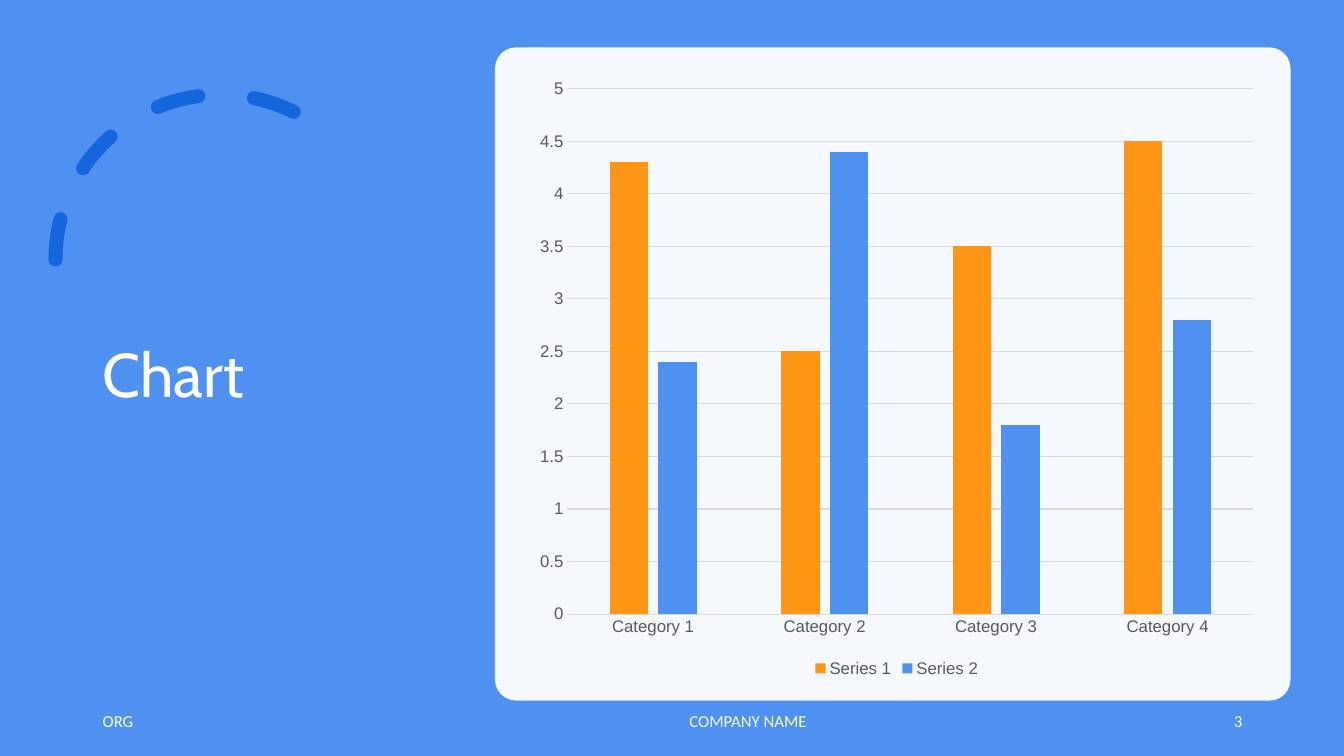
import pptx
import pptx.chart.data
import pptx.dml.color
import pptx.enum.chart
import pptx.enum.dml
import pptx.enum.shapes
import pptx.enum.text
import pptx.oxml
import pptx.oxml.ns
import pptx.util

HUES = {"blue": "4E91F0", "deep": "1366DC", "gold": "FF9514",
        "white": "FFFFFF", "gray": "595959", "grid": "D9D9D9"}
ALIGN = pptx.enum.text.PP_ALIGN
SHAPE = pptx.enum.shapes.MSO_SHAPE
CHART = pptx.enum.chart


def hue(name):
    return pptx.dml.color.RGBColor.from_string(HUES[name])


def part(box, x, y, w, h):
    """Return a box placed inside another by percent of its size."""
    left, top, wide, high = box
    return (round(left + wide * x / 100), round(top + high * y / 100),
            round(wide * w / 100), round(high * h / 100))


def style(font, size, name, color):
    font.size = pptx.util.Pt(size)
    font.name = name
    font.color.rgb = hue(color)


def label(slide, box, text, size, face, align=ALIGN.LEFT, lead=1.0):
    frame = slide.shapes.add_textbox(*box).text_frame
    frame.word_wrap = True
    frame.vertical_anchor = pptx.enum.text.MSO_ANCHOR.MIDDLE
    line = frame.paragraphs[0]
    line.text = text
    line.alignment = align
    line.line_spacing = lead
    style(line.font, size, face, "white")


def add_arc(slide, box):
    arc = slide.shapes.add_shape(SHAPE.ARC, *box)
    arc.shadow.inherit = False
    arc.adjustments[0] = 146.13
    arc.adjustments[1] = 0
    arc.fill.background()
    arc.line.color.rgb = hue("deep")
    arc.line.width = pptx.util.Pt(10)
    arc.line.dash_style = pptx.enum.dml.MSO_LINE.DASH
    # Mirror the arc and round its dashes
    props = arc._element.spPr
    props.find(pptx.oxml.ns.qn("a:xfrm")).set("flipH", "1")
    props.find(pptx.oxml.ns.qn("a:ln")).set("cap", "rnd")


def add_card(slide, box):
    card = slide.shapes.add_shape(SHAPE.ROUNDED_RECTANGLE, *box)
    card.shadow.inherit = False
    card.adjustments[0] = 0.032
    card.line.fill.background()
    card.fill.solid()
    card.fill.fore_color.rgb = hue("white")
    # Slight transparency
    tint = card._element.spPr.find(".//" + pptx.oxml.ns.qn("a:srgbClr"))
    alpha = pptx.oxml.parse_xml(
        '<a:alpha %s val="95000"/>' % pptx.oxml.ns.nsdecls("a"))
    tint.append(alpha)
    add_bars(slide, part(box, 3.8, 3.09, 93.41, 93.98))


def add_bars(slide, box):
    data = pptx.chart.data.CategoryChartData()
    data.categories = [f"Category {n}" for n in range(1, 5)]
    data.add_series("Series 1", (4.3, 2.5, 3.5, 4.5))
    data.add_series("Series 2", (2.4, 4.4, 1.8, 2.8))
    chart = slide.shapes.add_chart(
        CHART.XL_CHART_TYPE.COLUMN_CLUSTERED, *box, data).chart
    style(chart.font, 12, "Arial", "gray")
    chart.has_title = False

    # Bars
    plot = chart.plots[0]
    plot.gap_width = 219
    plot.overlap = -27
    plot.vary_by_categories = False
    for bars, color in zip(plot.series, ("gold", "blue")):
        bars.format.fill.solid()
        bars.format.fill.fore_color.rgb = hue(color)

    # Axes and grid
    base, scale = chart.category_axis, chart.value_axis
    for axis in (base, scale):
        axis.major_tick_mark = CHART.XL_TICK_MARK.NONE
        axis.minor_tick_mark = CHART.XL_TICK_MARK.NONE
        style(axis.tick_labels.font, 12, "Arial", "gray")
    scale.minimum_scale, scale.maximum_scale = 0, 5
    scale.major_unit = 0.5
    scale.format.line.fill.background()
    for line in (base.format.line, scale.major_gridlines.format.line):
        line.color.rgb = hue("grid")
        line.width = pptx.util.Pt(0.75)

    # Legend
    chart.has_legend = True
    chart.legend.position = CHART.XL_LEGEND_POSITION.BOTTOM
    chart.legend.include_in_layout = False
    style(chart.legend.font, 12, "Arial", "gray")


def add_foot(slide, box):
    notes = ((0, "ORG", ALIGN.LEFT),
             (43.48, "COMPANY NAME", ALIGN.CENTER),
             (73.91, "3", ALIGN.RIGHT))
    for x, text, align in notes:
        label(slide, part(box, x, 0, 26.09, 100), text, 12, "Calibri", align)


def main():
    deck = pptx.Presentation()
    deck.slide_width = pptx.util.Inches(13.33)
    deck.slide_height = pptx.util.Inches(7.5)
    slide = deck.slides.add_slide(deck.slide_layouts[6])
    slide.background.fill.solid()
    slide.background.fill.fore_color.rgb = hue("blue")
    page = (0, 0, deck.slide_width, deck.slide_height)

    add_arc(slide, part(page, 4.13, 12.53, 24.53, 43.6))
    label(slide, part(page, 6.9, 9.33, 24.23, 81.2), "Chart", 44, "Cabin",
          lead=0.9)
    add_card(slide, part(page, 36.83, 6.27, 59.19, 86.4))
    add_foot(slide, part(page, 6.9, 92.67, 86.27, 5.33))
    deck.save("out.pptx")


if __name__ == "__main__":
    main()
